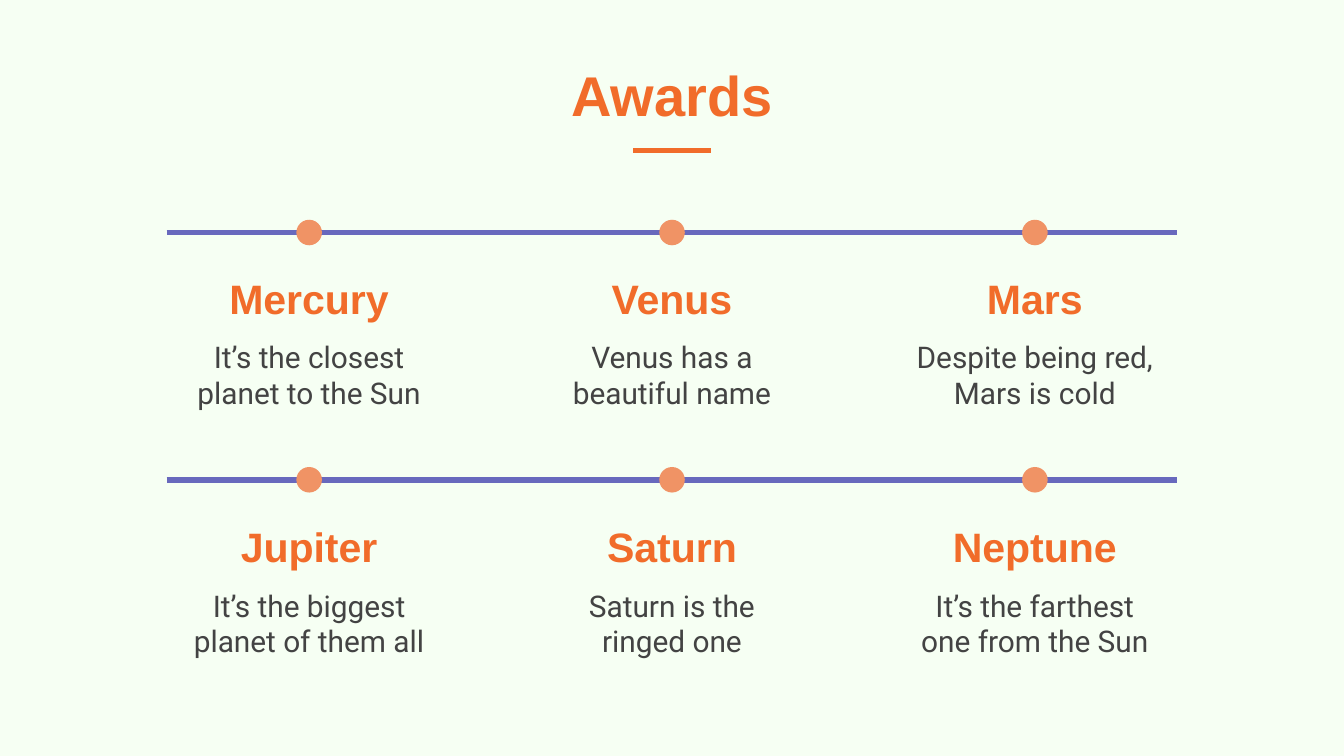
from dataclasses import dataclass
from lxml.etree import SubElement as Sub
from pptx import Presentation
from pptx.dml.color import RGBColor as RGB
from pptx.enum.shapes import MSO_CONNECTOR as Conn, MSO_SHAPE as Shape
from pptx.enum.text import MSO_ANCHOR as Anchor, PP_ALIGN as Align
from pptx.oxml.ns import qn
from pptx.util import Inches, Pt


@dataclass(frozen=True)
class Theme:
    """Colours, fonts and type sizes of the slide."""
    back: RGB = RGB.from_string("F6FFF3")
    accent: RGB = RGB.from_string("F16C2A")
    track: RGB = RGB.from_string("6869BD")
    dot: RGB = RGB.from_string("F09365")
    ink: RGB = RGB.from_string("434343")
    head: str = "Arial"
    body: str = "Roboto"
    title: int = 30
    name: int = 22
    note: int = 16
    stroke: int = 3


THEME = Theme()
INNER = (
    ("Mercury", ["It’s the closest planet to the Sun"]),
    ("Venus", ["Venus has a", "beautiful name"]),
    ("Mars", ["Despite being red,", "Mars is cold"]),
)
OUTER = (
    ("Jupiter", ["It’s the biggest planet of them all"]),
    ("Saturn", ["Saturn is the", "ringed one"]),
    ("Neptune", ["It’s the farthest one from the Sun"]),
)


def add_text(slide, box, lines, size, font, color, bold=False, anchor=Anchor.TOP):
    """Add a centred text box with one paragraph per line."""
    frame = slide.shapes.add_textbox(*map(Inches, box)).text_frame
    frame.word_wrap = True
    frame.vertical_anchor = anchor
    frame.margin_left = frame.margin_right = Inches(0.1)
    frame.margin_top = frame.margin_bottom = Inches(0.1)
    for i, line in enumerate(lines):
        para = frame.add_paragraph() if i else frame.paragraphs[0]
        para.alignment = Align.CENTER
        run = para.add_run()
        run.text = line
        run.font.size = Pt(size)
        run.font.name = font
        run.font.bold = bold
        run.font.color.rgb = color


def add_head(slide, box, text, size):
    """Add a bold heading that sits at the bottom of its box."""
    add_text(slide, box, [text], size, THEME.head, THEME.accent, True, Anchor.BOTTOM)


def add_rule(slide, left, top, width, color):
    """Add a level line without a shadow."""
    ends = map(Inches, (left, top, left + width, top))
    rule = slide.shapes.add_connector(Conn.STRAIGHT, *ends)
    rule.line.color.rgb = color
    rule.line.width = Pt(THEME.stroke)
    Sub(rule._element.spPr, qn("a:effectLst"))


def add_dot(slide, mid, top, size=0.19):
    """Add a round marker centred on a point."""
    box = (mid - size / 2, top - size / 2, size, size)
    dot = slide.shapes.add_shape(Shape.OVAL, *map(Inches, box))
    dot.shadow.inherit = False
    dot.fill.solid()
    dot.fill.fore_color.rgb = THEME.dot
    dot.line.fill.background()


def add_title(slide, left, top, width, height, text):
    """Add the slide title and the short rule under it."""
    add_head(slide, (left, top, width, height), text, THEME.title)
    rule = 0.58
    add_rule(slide, left + (width - rule) / 2, top + height + 0.07, rule, THEME.accent)


def add_track(slide, left, top, width, gap, planets):
    """Add a line with evenly spaced dots and a captioned planet under each."""
    add_rule(slide, left, top, width, THEME.track)
    wide, high, step = 2.04, 0.73, 2.7
    first = left + width / 2 - step * (len(planets) - 1) / 2
    for i, (name, note) in enumerate(planets):
        mid = first + i * step
        cell = mid - wide / 2
        add_dot(slide, mid, top)
        add_head(slide, (cell, top + gap, wide, high), name, THEME.name)
        add_text(slide, (cell, top + gap + 0.65, wide, high), note,
                 THEME.note, THEME.body, THEME.ink)


def main():
    """Build and save the slide."""
    deck = Presentation()
    deck.slide_width, deck.slide_height = Inches(10), Inches(10 * 9 / 16)
    slide = deck.slides.add_slide(deck.slide_layouts[6])
    slide.background.fill.solid()
    slide.background.fill.fore_color.rgb = THEME.back
    add_title(slide, 0.87, 0.22, 8.26, 0.83, "Awards")
    add_track(slide, 1.24, 1.73, 7.52, 0.04, INNER)
    add_track(slide, 1.24, 3.57, 7.52, 0.05, OUTER)
    deck.save("out.pptx")


if __name__ == "__main__":
    main()
